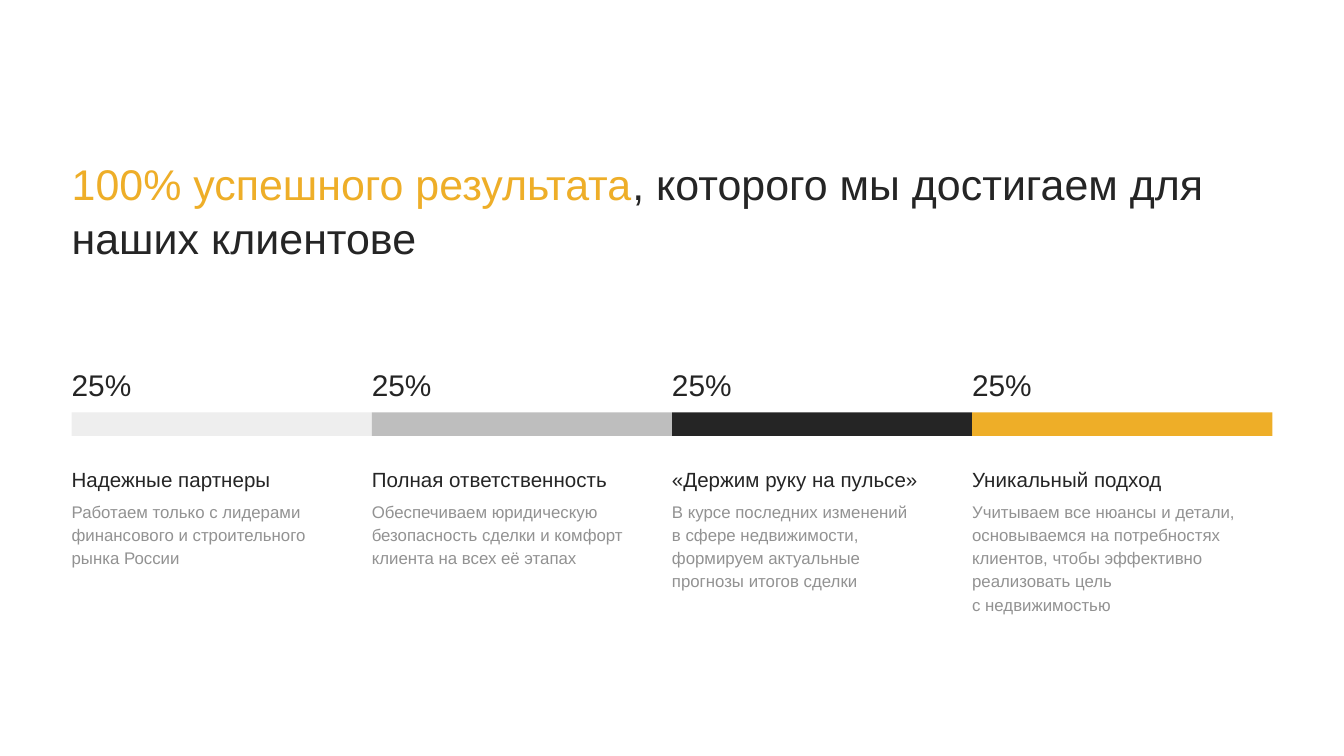
from dataclasses import dataclass

from pptx import Presentation
from pptx.dml.color import RGBColor
from pptx.enum.shapes import MSO_SHAPE
from pptx.enum.text import MSO_ANCHOR, MSO_AUTO_SIZE, PP_ALIGN
from pptx.util import Pt


@dataclass(frozen=True)
class Theme:
    font: str = "Arial"
    dark: str = "252525"
    accent: str = "EEAE28"
    muted: str = "929292"
    bars: tuple = ("EEEEEE", "BEBEBE", "252525", "EEAE28")
    title: float = 23
    share: float = 16
    heading: float = 11
    body: float = 9


THEME = Theme()
TITLE = [("100% успешного результата", THEME.accent),
         (", которого мы достигаем для наших клиентове", THEME.dark)]
# "\v" is a line break inside a paragraph
COLUMNS = [
    ("25%", "Надежные партнеры",
     "Работаем только с лидерами финансового и строительного рынка России"),
    ("25%", "Полная ответственность",
     "Обеспечиваем юридическую безопасность сделки и комфорт клиента "
     "на всех её этапах"),
    ("25%", "«Держим руку на пульсе»",
     "В курсе последних изменений \vв сфере недвижимости, формируем "
     "актуальные прогнозы итогов сделки"),
    ("25%", "Уникальный подход",
     "Учитываем все нюансы и детали, основываемся на потребностях клиентов, "
     "чтобы эффективно реализовать цель \vс недвижимостью"),
]


def set_attrs(obj, **values):
    for name, value in values.items():
        setattr(obj, name, value)


def format_frame(tf, spacing):
    set_attrs(tf, word_wrap=True, auto_size=MSO_AUTO_SIZE.SHAPE_TO_FIT_TEXT,
              vertical_anchor=MSO_ANCHOR.TOP, margin_left=0, margin_top=0,
              margin_right=0, margin_bottom=0)
    set_attrs(tf.paragraphs[0], alignment=PP_ALIGN.LEFT, line_spacing=spacing)


def format_run(r, size, color):
    set_attrs(r.font, name=THEME.font, size=Pt(size))
    r.font.color.rgb = RGBColor.from_string(color)


def add_text(s, box, text, size, color, spacing):
    tf = s.shapes.add_textbox(*map(Pt, box)).text_frame
    format_frame(tf, spacing)
    p = tf.paragraphs[0]
    p.text = text
    for r in p.runs:
        format_run(r, size, color)


def add_title(s, box):
    sp = s.shapes.title
    set_attrs(sp, **dict(zip(("left", "top", "width", "height"), map(Pt, box))))
    format_frame(sp.text_frame, 1.05)
    for text, color in TITLE:
        r = sp.text_frame.paragraphs[0].add_run()
        r.text = text
        format_run(r, THEME.title, color)


def add_bar(s, box, color):
    sp = s.shapes.add_shape(MSO_SHAPE.RECTANGLE, *map(Pt, box))
    sp.shadow.inherit = False
    sp.fill.solid()
    sp.fill.fore_color.rgb = RGBColor.from_string(color)
    sp.line.fill.background()


def add_column(s, box, share, heading, body, color):
    """Stack the share, its bar, the heading and the body text."""
    x, y, w, h = box
    text_w = w - 19
    add_bar(s, (x, y + 29.5, w, 12.6), color)
    add_text(s, (x, y, text_w, 19.4), share, THEME.share, THEME.dark, 1.25)
    add_text(s, (x, y + 54, text_w, 13.7), heading, THEME.heading,
             THEME.dark, 1.35)
    add_text(s, (x, y + 75.5, text_w, h - 75.5), body, THEME.body,
             THEME.muted, 1.15)


def add_columns(s, box):
    x, y, w, h = box
    col_w = w / len(COLUMNS)
    for i, (texts, color) in enumerate(zip(COLUMNS, THEME.bars)):
        add_column(s, (x + i * col_w, y, col_w, h), *texts, color)


def main():
    prs = Presentation()
    set_attrs(prs, slide_width=Pt(720), slide_height=Pt(405))
    s = prs.slides.add_slide(prs.slide_layouts[5])
    left, width = 38.4, 643.2
    add_title(s, (left, 82.8, width, 55.4))
    add_columns(s, (left, 191.5, width, 136.5))
    prs.save("out.pptx")


if __name__ == "__main__":
    main()
